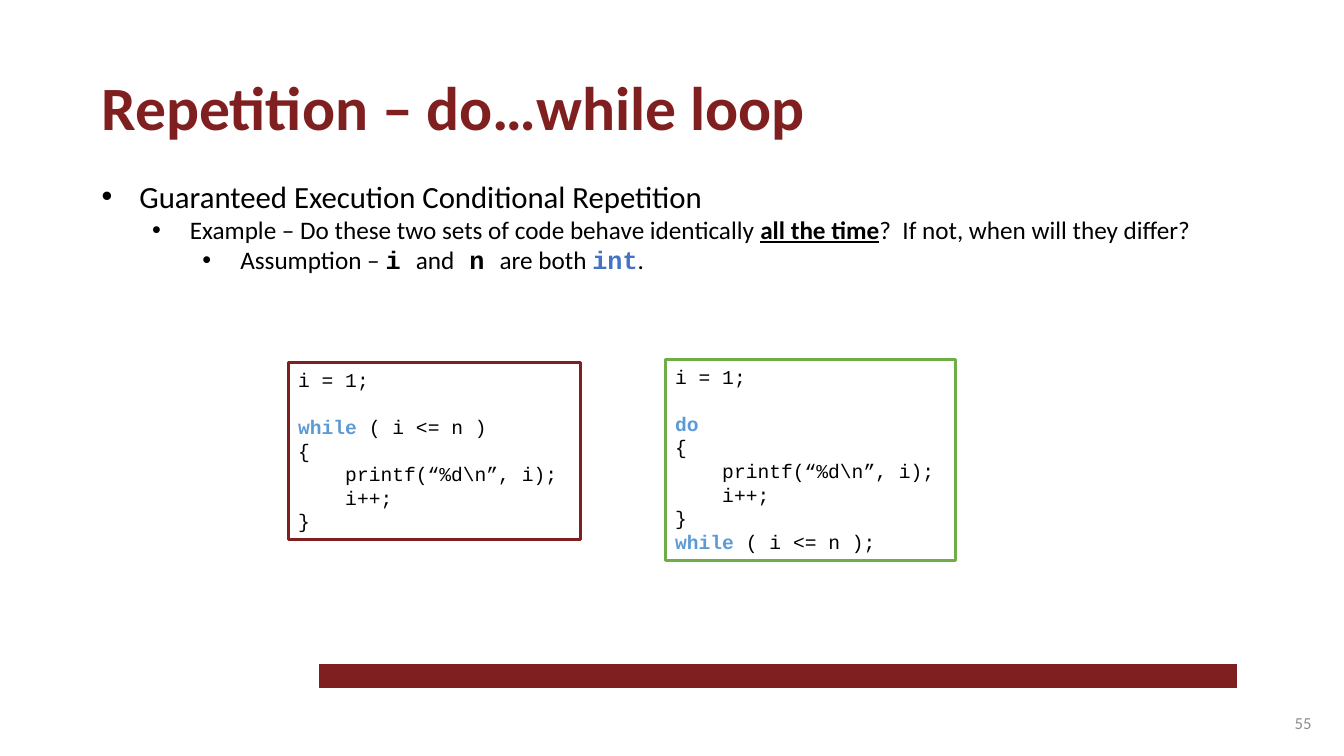
from dataclasses import dataclass

from lxml.etree import SubElement
from pptx import Presentation
from pptx.dml.color import RGBColor as RGB
from pptx.enum.shapes import MSO_SHAPE as SHAPE
from pptx.enum.text import MSO_ANCHOR as ANCHOR, PP_ALIGN as ALIGN
from pptx.oxml.ns import qn
from pptx.util import Pt


@dataclass(frozen=True)
class Theme:
    maroon: str = "7F1F1F"
    green: str = "70AD47"
    black: str = "000000"
    white: str = "FFFFFF"
    grey: str = "8C8C8C"
    keyword: str = "5B9BD5"
    type_name: str = "4472C4"
    text_font: str = "Calibri"
    code_font: str = "Courier New"
    title_size: float = 44
    topic_size: float = 22
    detail_size: float = 18
    code_size: float = 14
    number_size: float = 12
    code_gap: float = 16.8
    bullet_hang: float = 27
    bullet_step: float = 36


T = Theme()


@dataclass(frozen=True)
class Box:
    left: float
    top: float
    width: float
    height: float

    def lengths(self) -> list:
        return [Pt(v) for v in (self.left, self.top, self.width, self.height)]


@dataclass(frozen=True)
class Span:
    text: str
    size: float
    name: str = T.text_font
    color: str = T.black
    bold: bool = False
    underline: bool = False


@dataclass(frozen=True)
class Line:
    spans: tuple
    gap: float = 0


@dataclass(frozen=True)
class CodePanel:
    box: Box
    border: str
    lines: tuple


def detail(text: str, **style) -> Span:
    return Span(text, T.detail_size, **style)


def inline_code(text: str, color: str = T.black) -> Span:
    return detail(text, name=T.code_font, color=color, bold=True)


def code(text: str, keyword: str = "", gap: float = 0) -> Line:
    spans = []
    if keyword:
        spans.append(Span(keyword, T.code_size, T.code_font, T.keyword, True))
    if text:
        spans.append(Span(text, T.code_size, T.code_font))
    return Line(tuple(spans), gap)


def set_bullet(p, level: int) -> None:
    p.level = level
    pPr = p._p.get_or_add_pPr()
    pPr.set("marL", str(Pt(T.bullet_hang + level * T.bullet_step)))
    pPr.set("indent", str(-Pt(T.bullet_hang)))
    SubElement(pPr, qn("a:buFont")).set("typeface", "Arial")
    SubElement(pPr, qn("a:buChar")).set("char", "•")


def write(tf, lines: tuple, bullets: bool = False, align=ALIGN.LEFT) -> None:
    for i, line in enumerate(lines):
        p = tf.add_paragraph() if i else tf.paragraphs[0]
        if bullets:
            set_bullet(p, i)
        p.alignment = align
        if line.gap:
            p.space_before = Pt(line.gap)
        for span in line.spans:
            r = p.add_run()
            r.text = span.text
            formats = {"name": span.name, "size": Pt(span.size),
                       "bold": span.bold, "underline": span.underline}
            for key, value in formats.items():
                setattr(r.font, key, value)
            r.font.color.rgb = RGB.from_string(span.color)


def add_text(s, box: Box, lines: tuple, wrap: bool = True, anchor=ANCHOR.TOP,
             bullets: bool = False, align=ALIGN.LEFT) -> None:
    tf = s.shapes.add_textbox(*box.lengths()).text_frame
    tf.word_wrap = wrap
    tf.vertical_anchor = anchor
    write(tf, lines, bullets, align)


def add_rect(s, box: Box, fill: str, border: str, weight: float):
    sp = s.shapes.add_shape(SHAPE.RECTANGLE, *box.lengths())
    sp.shadow.inherit = False
    sp.fill.solid()
    sp.fill.fore_color.rgb = RGB.from_string(fill)
    sp.line.color.rgb = RGB.from_string(border)
    sp.line.width = Pt(weight)
    return sp


def add_code_panel(s, panel: CodePanel) -> None:
    tf = add_rect(s, panel.box, T.white, panel.border, 2.25).text_frame
    tf.word_wrap = True
    tf.vertical_anchor = ANCHOR.TOP
    write(tf, panel.lines)


TITLE = (Line((Span("Repetition – do…while loop", T.title_size,
                    color=T.maroon, bold=True),)),)
TOPICS = (
    Line((Span("Guaranteed Execution Conditional Repetition", T.topic_size),)),
    Line((detail("Example – Do these two sets of code behave identically "),
          detail("all the time", bold=True, underline=True),
          detail("?  If not, when will they differ?"))),
    Line((detail("Assumption – "), inline_code("i "), detail("and"),
          inline_code(" n "), detail("are both "),
          inline_code("int", T.type_name), detail("."))),
)
NUMBER = (Line((Span("55", T.number_size, color=T.grey),)),)
LOOP_BODY = (code("{"), code("    printf(“%d\\n”, i);"), code("    i++;"), code("}"))
PANELS = (
    CodePanel(Box(205.9, 259.2, 208.8, 126), T.maroon,
              (code("i = 1;"), code("( i <= n )", "while ", T.code_gap), *LOOP_BODY)),
    CodePanel(Box(475.2, 257, 207.4, 143.3), T.green,
              (code("i = 1;"), code("", "do", T.code_gap), *LOOP_BODY,
               code("( i <= n );", "while "))),
)


def main() -> None:
    prs = Presentation()
    prs.slide_width, prs.slide_height = Pt(960), Pt(540)
    s = prs.slides.add_slide(prs.slide_layouts[6])
    add_rect(s, Box(228.2, 474.6, 655.2, 16.5), T.maroon, T.maroon, 1)
    add_text(s, Box(65.5, 46, 522.7, 60.5), TITLE, wrap=False)
    add_text(s, Box(65.5, 123.1, 828.7, 121), TOPICS, bullets=True)
    add_text(s, Box(728, 501.8, 216, 28.8), NUMBER,
             anchor=ANCHOR.MIDDLE, align=ALIGN.RIGHT)
    for panel in PANELS:
        add_code_panel(s, panel)
    prs.save("out.pptx")


if __name__ == "__main__":
    main()
